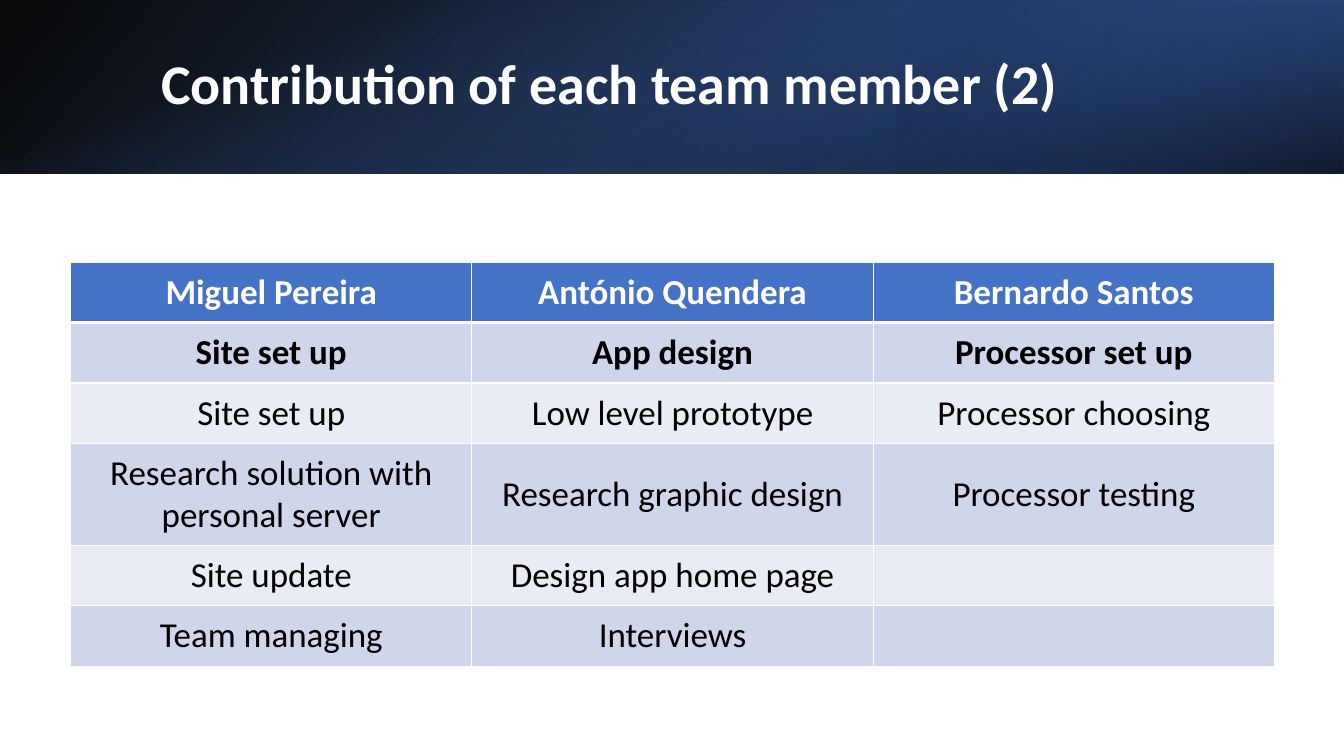
import pptx
import pptx.dml.color
import pptx.enum.shapes
import pptx.enum.text
import pptx.oxml.ns
import pptx.util
from dataclasses import dataclass
from lxml import etree

Inches = pptx.util.Inches
Pt = pptx.util.Pt
qn = pptx.oxml.ns.qn
MIDDLE = pptx.enum.text.MSO_ANCHOR.MIDDLE
CENTER = pptx.enum.text.PP_ALIGN.CENTER


@dataclass(frozen=True)
class Theme:
    font: str = "Calibri"
    title_size: int = 40
    table_size: int = 25
    white: str = "FFFFFF"
    black: str = "000000"
    navy: str = "203864"
    blue: str = "2F5597"
    accent: str = "4472C4"
    band_dark: str = "CFD5EA"
    band_light: str = "E9EBF5"


def rgb(color):
    return pptx.dml.color.RGBColor.from_string(color)


def apply_format(target, values):
    for attribute, value in values.items():
        setattr(target, attribute, value)


class SlideBuilder:
    def __init__(self, slide, theme):
        self.slide = slide
        self.theme = theme

    def add_text(self, frame, text, size, color, bold, **paragraph_format):
        paragraph = frame.paragraphs[0]
        apply_format(paragraph, paragraph_format)
        run = paragraph.add_run()
        run.text = text
        apply_format(run.font, {"name": self.theme.font, "size": Pt(size), "bold": bold})
        run.font.color.rgb = rgb(color)

    def gradient_band(self, box, stops, angle, rotation=0, flipped=False):
        band = self.slide.shapes.add_shape(
            pptx.enum.shapes.MSO_SHAPE.RECTANGLE, *map(Inches, box))
        band.shadow.inherit = False
        band.rotation = rotation
        band.line.fill.background()
        band.fill.gradient()
        band.fill.gradient_angle = 360 - angle
        for stop, (position, color, _) in zip(band.fill.gradient_stops, stops):
            stop.position = position / 100
            stop.color.rgb = rgb(color)
        properties = band._element.spPr
        if flipped:
            properties.find(qn("a:xfrm")).set("flipH", "1")
        for color_node, (_, _, opacity) in zip(properties.iter(qn("a:srgbClr")), stops):
            etree.SubElement(color_node, qn("a:alpha")).set("val", str(opacity * 1000))

    def title(self, box, text):
        frame = self.slide.shapes.add_textbox(*map(Inches, box)).text_frame
        apply_format(frame, {"word_wrap": True, "vertical_anchor": MIDDLE})
        self.add_text(frame, text, self.theme.title_size, self.theme.white, True,
                      line_spacing=0.9)

    def cell_borders(self, cell, widths):
        properties = cell._tc.get_or_add_tcPr()
        for index, (side, width) in enumerate(widths.items()):
            border = etree.Element(qn(f"a:ln{side}"), w=str(Pt(width)))
            fill = etree.SubElement(border, qn("a:solidFill"))
            etree.SubElement(fill, qn("a:srgbClr")).set("val", self.theme.white)
            properties.insert(index, border)

    def table(self, left, top, column_width, row_heights, rows):
        theme = self.theme
        columns = len(rows[0])
        grid = self.slide.shapes.add_table(
            len(rows), columns, Inches(left), Inches(top),
            Inches(column_width * columns), Inches(sum(row_heights))).table
        for column in grid.columns:
            column.width = Inches(column_width)
        for index, (height, texts) in enumerate(zip(row_heights, rows)):
            grid.rows[index].height = Inches(height)
            band = theme.band_dark if index % 2 else theme.band_light
            fill = band if index else theme.accent
            color = theme.black if index else theme.white
            widths = {"L": 1, "R": 1, "T": 3 if index == 1 else 1, "B": 1 if index else 3}
            for cell, text in zip(grid.rows[index].cells, texts):
                cell.fill.solid()
                cell.fill.fore_color.rgb = rgb(fill)
                apply_format(cell, {
                    "vertical_anchor": MIDDLE,
                    "margin_left": Inches(0.14), "margin_right": Inches(0.14),
                    "margin_top": Inches(0.07), "margin_bottom": Inches(0.07)})
                self.cell_borders(cell, widths)
                if text:
                    self.add_text(cell.text_frame, text, theme.table_size, color, index < 2,
                                  alignment=CENTER)


def main():
    presentation = pptx.Presentation()
    presentation.slide_width = Inches(13.33)
    presentation.slide_height = Inches(7.5)
    theme = Theme()
    builder = SlideBuilder(
        presentation.slides.add_slide(presentation.slide_layouts[6]), theme)

    builder.gradient_band((0, 0, 13.33, 1.72),
                          [(0, theme.black, 96), (100, theme.blue, 100)],
                          140, flipped=True)
    builder.gradient_band((8.89, 0, 4.44, 1.72),
                          [(19, theme.navy, 68), (100, theme.accent, 79)],
                          320, rotation=180, flipped=True)
    builder.gradient_band((5.8, -5.8, 1.72, 13.33),
                          [(23, theme.accent, 0), (99, theme.black, 74)],
                          340, rotation=90)
    builder.title((1.5, 0.38, 10.98, 0.96), "Contribution of each team member (2)")

    contributions = [
        ("Miguel Pereira", "António Quendera", "Bernardo Santos"),
        ("Site set up", "App design", "Processor set up"),
        ("Site set up", "Low level prototype", "Processor choosing"),
        ("Research solution with personal server", "Research graphic design",
         "Processor testing"),
        ("Site update", "Design app home page", ""),
        ("Team managing", "Interviews", ""),
    ]
    builder.table(0.7, 2.6, 3.98, [0.6, 0.6, 0.6, 1.01, 0.6, 0.6], contributions)
    presentation.save("out.pptx")


if __name__ == "__main__":
    main()
